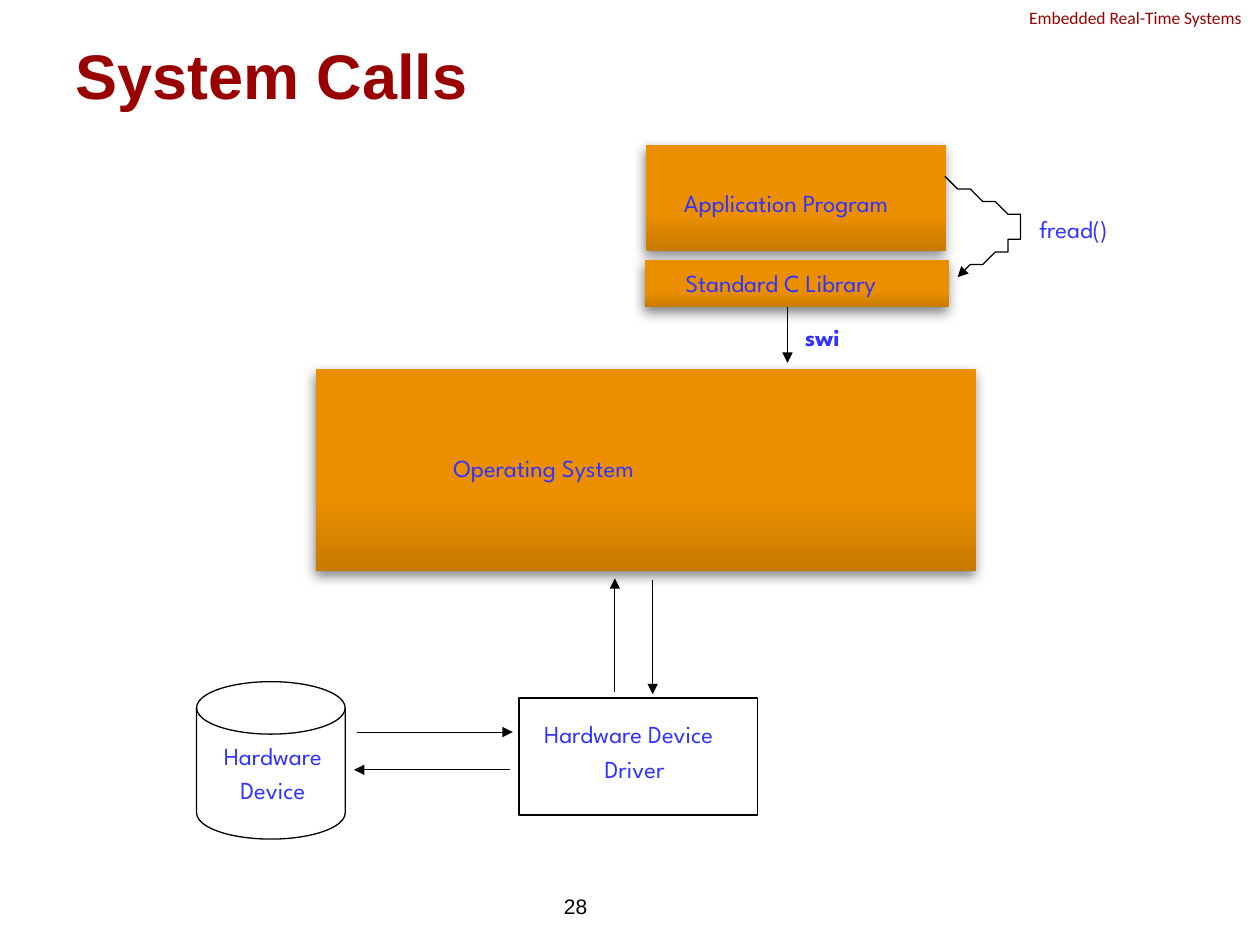
from typing import NamedTuple

from lxml.etree import SubElement
from pptx import Presentation
from pptx.dml.color import RGBColor
from pptx.enum.shapes import MSO_CONNECTOR as Connector
from pptx.enum.shapes import MSO_SHAPE as Preset
from pptx.enum.text import MSO_ANCHOR as Anchor
from pptx.enum.text import PP_ALIGN as Align
from pptx.oxml import parse_xml
from pptx.oxml.ns import nsdecls, qn
from pptx.util import Inches, Pt

RED = RGBColor(0x99, 0x00, 0x00)
BLUE = RGBColor(0x33, 0x33, 0xFF)
BLACK = RGBColor(0x00, 0x00, 0x00)
ORANGE = RGBColor(0xEB, 0x8F, 0x00)
DARK_ORANGE = RGBColor(0xC9, 0x7A, 0x00)

COLUMNS, ROWS = 100, 75
CELL = Inches(0.1)


class Area(NamedTuple):
    """A place on the slide grid, in columns and rows."""
    column: float
    row: float
    columns: float
    rows: float

    def lengths(self) -> list[int]:
        return [round(value * CELL) for value in self]


class Label(NamedTuple):
    lines: tuple[str, ...]
    area: Area
    style: dict = {}


class Arrow(NamedTuple):
    start: tuple[float, float]
    end: tuple[float, float]


LAYERS = (
    Area(51.3, 11.5, 23.8, 8.4),
    Area(51.2, 20.6, 24.1, 3.8),
    Area(25.1, 29.3, 52.4, 16),
)
OUTLINES = (
    (Preset.RECTANGLE, Area(41.2, 55.4, 18.9, 9.3)),
    (Preset.FLOWCHART_MAGNETIC_DISK, Area(15.6, 54.1, 11.8, 12.5)),
)
LABELS = (
    Label(("Embedded Real-Time Systems",), Area(80.7, 0.1, 22.7, 2.7),
          dict(size=10, font="Calibri", color=RED)),
    Label(("System Calls",), Area(5, 3, 90, 5.8),
          dict(size=36, font="Arial", color=RED, bold=True, anchor=Anchor.MIDDLE)),
    Label(("28",), Area(24.3, 69.9, 23.3, 4),
          dict(size=12, font="Arial", color=BLACK, align=Align.RIGHT,
               anchor=Anchor.MIDDLE)),
    Label(("Application Program",), Area(53.3, 14.4, 21.8, 3.4)),
    Label(("Standard C Library",), Area(53.4, 20.8, 19.8, 3.4)),
    Label(("Operating System",), Area(35, 35.5, 19, 3.4)),
    Label(("Hardware Device", "Driver"), Area(42.2, 56.6, 18.8, 6.2),
          dict(later_indent=4.8)),
    Label(("Hardware", "Device"), Area(15.9, 58.3, 11.5, 6.2),
          dict(align=Align.CENTER)),
    Label(("swi",), Area(62.9, 25.1, 7, 3.4), dict(bold=True)),
    Label(("fread()",), Area(81.5, 16.5, 8.6, 3.4)),
)
ARROWS = (
    Arrow((28.3, 58.1), (40.7, 58.1)),
    Arrow((40.5, 61.1), (28.1, 61.1)),
    Arrow((48.8, 54.9), (48.8, 45.9)),
    Arrow((51.8, 46), (51.8, 55.1)),
    Arrow((62.5, 24.4), (62.5, 28.8)),
)
CALL_CURVE = (
    ((75.3, 14.4), (78.3, 15.7), (81.2, 16.9), (81.3, 18.2)),
    ((81.3, 18.2), (81.4, 19.4), (76.8, 21.2), (75.9, 21.8)),
)


def add_text(slide, lines: tuple[str, ...], area: Area, *, size: float = 14,
             font: str = "League Spartan", color: RGBColor = BLUE,
             bold: bool = False, align: Align = Align.LEFT,
             anchor: Anchor = Anchor.TOP, later_indent: float = 0) -> None:
    """Add a text box; later_indent moves every line after the first, in columns."""
    frame = slide.shapes.add_textbox(*area.lengths()).text_frame
    frame.word_wrap = True
    frame.vertical_anchor = anchor
    for index, line in enumerate(lines):
        paragraph = frame.paragraphs[0] if index == 0 else frame.add_paragraph()
        paragraph.alignment = align
        if index:
            paragraph.space_before = Pt(size * 0.2)
            paragraph._p.get_or_add_pPr().set("marL", str(round(later_indent * CELL)))
        run = paragraph.add_run()
        run.text = line
        run.font.size = Pt(size)
        run.font.name = font
        run.font.bold = bold
        run.font.color.rgb = color


def set_line(shape, width: float, arrowhead: bool = False) -> None:
    shape.line.color.rgb = BLACK
    shape.line.width = Pt(width)
    if arrowhead:
        SubElement(shape.line._get_or_add_ln(), qn("a:tailEnd"), type="triangle")


def add_layer(slide, area: Area) -> None:
    """Add a software layer: a gradient box with a soft shadow."""
    shape = slide.shapes.add_shape(Preset.RECTANGLE, *area.lengths())
    shape.line.fill.background()
    shape.shadow.inherit = False
    properties = shape._element.spPr
    stops = "".join(
        f'<a:gs pos="{share * 1000}"><a:srgbClr val="{color}"/></a:gs>'
        for share, color in ((0, DARK_ORANGE), (35, ORANGE), (100, ORANGE)))
    properties.find(qn("a:prstGeom")).addnext(parse_xml(
        f'<a:gradFill {nsdecls("a")} rotWithShape="1"><a:gsLst>{stops}</a:gsLst>'
        '<a:lin ang="16200000" scaled="0"/></a:gradFill>'))
    properties.find(qn("a:effectLst")).append(parse_xml(
        f'<a:outerShdw {nsdecls("a")} blurRad="{Pt(7)}" dist="{Pt(3)}" '
        f'dir="{110 * 60000}" rotWithShape="0"><a:srgbClr val="{BLACK}">'
        '<a:alpha val="50000"/></a:srgbClr></a:outerShdw>'))


def add_outline(slide, preset: Preset, area: Area) -> None:
    shape = slide.shapes.add_shape(preset, *area.lengths())
    shape.shadow.inherit = False
    shape.fill.background()
    set_line(shape, 0.75)


def add_arrow(slide, arrow: Arrow) -> None:
    ends = [round(value * CELL) for value in arrow.start + arrow.end]
    connector = slide.shapes.add_connector(Connector.STRAIGHT, *ends)
    set_line(connector, 0.5, arrowhead=True)
    SubElement(connector._element.spPr, qn("a:effectLst"))


def curve_point(curve: tuple, share: float) -> tuple[float, float]:
    """Return the point at a share of a cubic Bezier curve."""
    rest = 1 - share
    weights = (rest**3, 3 * rest**2 * share, 3 * rest * share**2, share**3)
    x, y = (sum(weight * value for weight, value in zip(weights, axis))
            for axis in zip(*curve))
    return x, y


def add_curved_arrow(slide, curves: tuple, steps: int = 16) -> None:
    points = [curve_point(curve, step / steps)
              for curve in curves for step in range(1, steps + 1)]
    builder = slide.shapes.build_freeform(*curves[0][0], scale=CELL)
    builder.add_line_segments(points, close=False)
    shape = builder.convert_to_shape()
    shape.shadow.inherit = False
    shape.fill.background()
    set_line(shape, 0.75, arrowhead=True)


def main() -> None:
    presentation = Presentation()
    presentation.slide_width = COLUMNS * CELL
    presentation.slide_height = ROWS * CELL
    slide = presentation.slides.add_slide(presentation.slide_layouts[6])
    for area in LAYERS:
        add_layer(slide, area)
    for preset, area in OUTLINES:
        add_outline(slide, preset, area)
    for label in LABELS:
        add_text(slide, label.lines, label.area, **label.style)
    for arrow in ARROWS:
        add_arrow(slide, arrow)
    add_curved_arrow(slide, CALL_CURVE)
    presentation.save("out.pptx")


if __name__ == "__main__":
    main()
